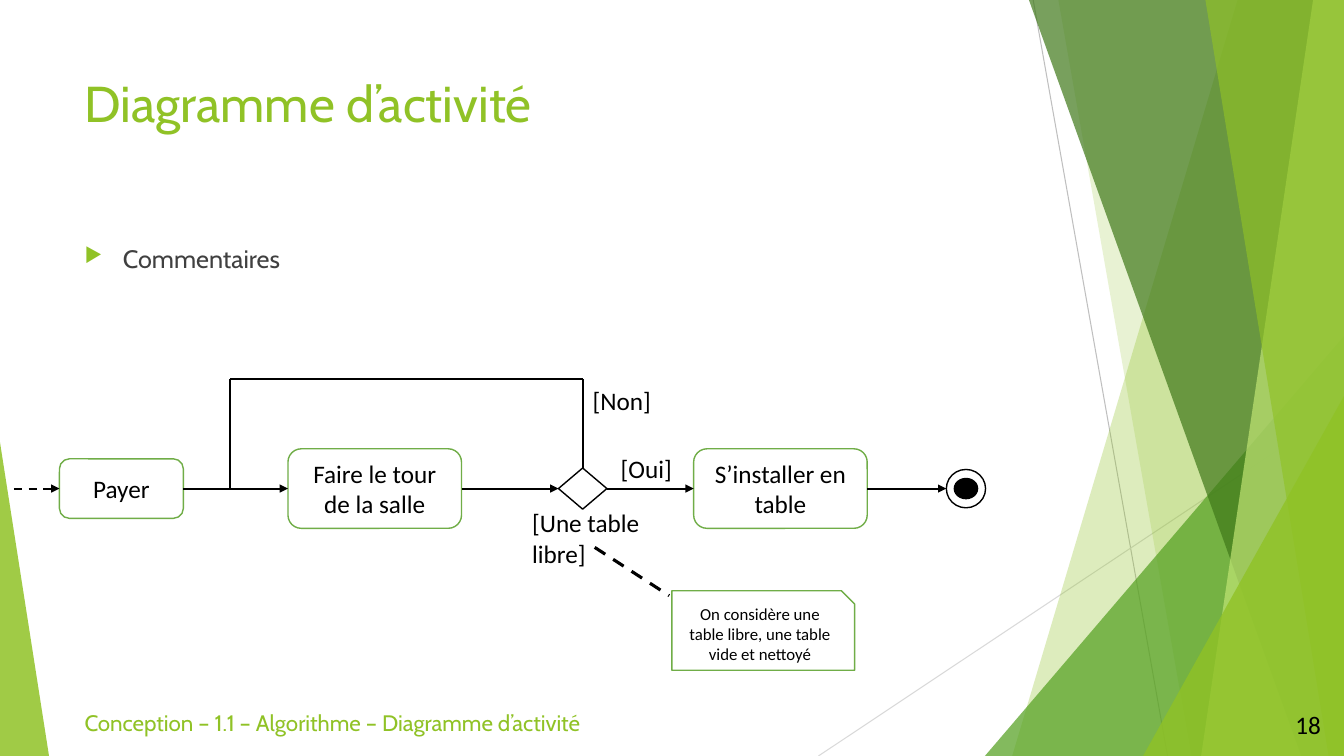
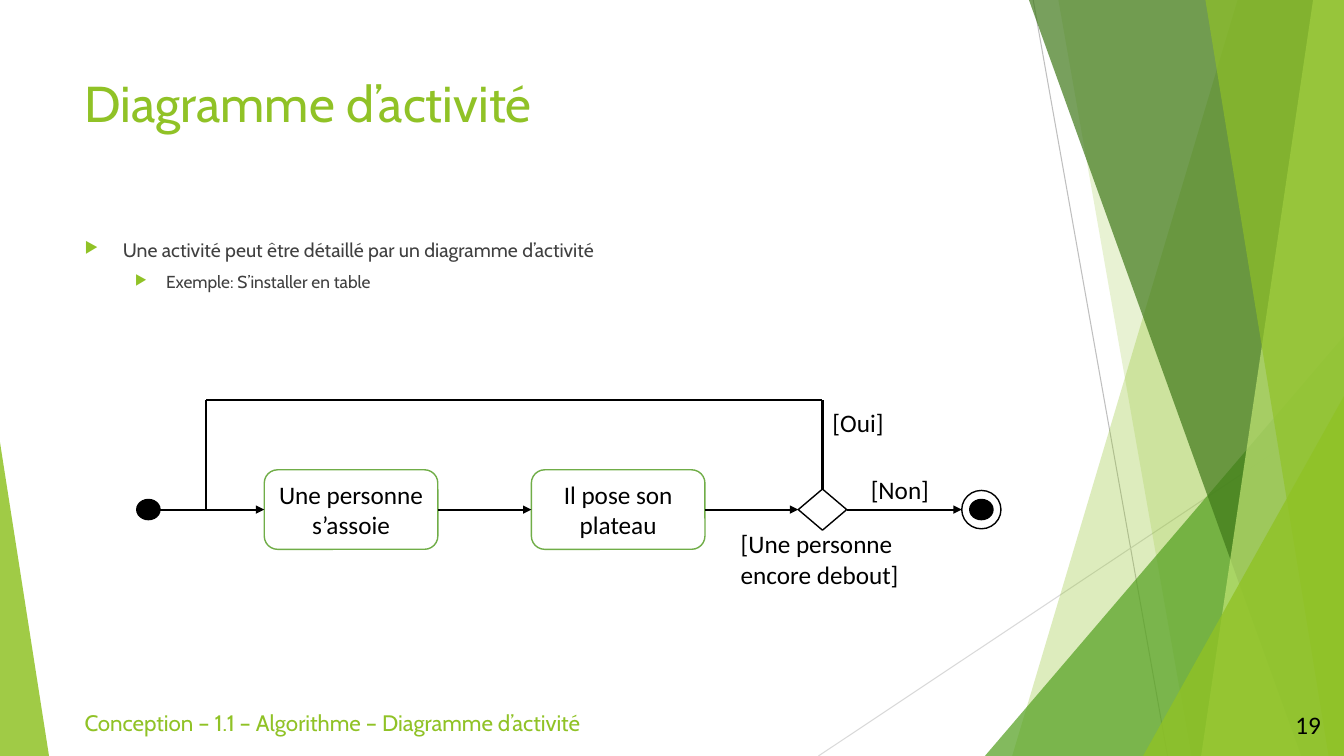
from itertools import pairwise

from lxml import etree
from pptx import Presentation
from pptx.dml.color import RGBColor
from pptx.enum import dml, shapes, text
from pptx.oxml.ns import qn
from pptx.util import Pt

LIME = RGBColor(0x90, 0xC2, 0x26)
LEAF = RGBColor(0x54, 0xA0, 0x21)
FOREST = RGBColor(0x3F, 0x78, 0x19)
PALE_LIME = RGBColor(0xC0, 0xE4, 0x74)
OUTLINE = RGBColor(0x70, 0xAD, 0x47)
GRAY = RGBColor(0xBF, 0xBF, 0xBF)
LIGHT_GRAY = RGBColor(0xD9, 0xD9, 0xD9)
BODY = RGBColor(0x40, 0x40, 0x40)
BLACK = RGBColor(0, 0, 0)
WHITE = RGBColor(255, 255, 255)

WIDTH, HEIGHT = 960, 540
MARGIN = 53.3
TITLE = "Diagramme d’activité"
FOOTER = "Conception – 1.1 – Algorithme – Diagramme d’activité"

RAYS = [((738, 0), (834, HEIGHT), GRAY), ((WIDTH, 290), (584.6, HEIGHT), LIGHT_GRAY)]
FACETS = [
    (LIME, 30, [(884, 0), (WIDTH, 0), (WIDTH, HEIGHT), (723, HEIGHT)]),
    (LIME, 20, [(756, 0), (WIDTH, 0), (WIDTH, HEIGHT), (851, HEIGHT)]),
    (LEAF, 72, [(703.5, HEIGHT), (WIDTH, 240), (WIDTH, HEIGHT)]),
    (FOREST, 70, [(735, 0), (WIDTH, 0), (WIDTH, HEIGHT), (929.5, HEIGHT)]),
    (PALE_LIME, 70, [(938, 0), (WIDTH, 0), (WIDTH, HEIGHT), (858, HEIGHT)]),
    (LIME, 65, [(861, 0), (WIDTH, 0), (WIDTH, HEIGHT), (949, HEIGHT)]),
    (LIME, 80, [(816.5, HEIGHT), (WIDTH, 283), (WIDTH, HEIGHT)]),
    (LIME, 85, [(0, HEIGHT), (0, 316), (35, HEIGHT)]),
]

ROUNDED = shapes.MSO_SHAPE.ROUNDED_RECTANGLE
OVAL = shapes.MSO_SHAPE.OVAL
NODE_STYLES = {
    "step": (ROUNDED, 88.5, 42.5, WHITE, OUTLINE),
    "activity": (ROUNDED, 124, 56.8, WHITE, OUTLINE),
    "decision": (shapes.MSO_SHAPE.DIAMOND, 34.6, 29.4, WHITE, BLACK),
    "dot": (OVAL, 16.6, 14.4, BLACK, BLACK),
    "end": (OVAL, 28, 27.4, WHITE, BLACK),
}
LOOP_RISE = 78

SLIDES = [
    {
        "number": "18",
        "bullets": [("Commentaires", 18, 27.4, 27.4, 1.0)],
        "axis": 349,
        "nodes": [
            ("step", 42.5, "Payer"),
            ("activity", 205.7, "Faire le tour de la salle"),
            ("decision", 398.9, ""),
            ("activity", 495.5, "S’installer en table"),
            ("end", 676, ""),
        ],
        "loop_left": 164,
        "labels": [("[Non]", 416.2, -77, 62), ("[Oui]", 436.3, -28.6, 63.4),
                   ("[Une table libre]", 373, 10, 93)],
        "entry": 10,
        "note": ("On considère une table libre, une table vide et nettoyé",
                 (480, 422, 130.5, 56.8), ((424.8, 391), (478, 425.5))),
    },
    {
        "number": "19",
        "bullets": [
            ("Une activité peut être détaillé par un diagramme d’activité", 13.9, 27.4, 27.4, 0.8),
            ("Exemple: S’installer en table", 12.4, 58.3, 22.3, 0.8),
        ],
        "axis": 364,
        "nodes": [
            ("dot", 97.7, ""),
            ("activity", 188.8, "Une personne s’assoie"),
            ("activity", 379.6, "Il pose son plateau"),
            ("decision", 570.2, ""),
            ("end", 687, ""),
        ],
        "loop_left": 147.4,
        "labels": [("[Oui]", 587.5, -76.5, 62), ("[Non]", 614.9, -28.5, 63.4),
                   ("[Une personne encore debout]", 522, 10, 130.3)],
    },
]


def style_font(para, size, color, name="Calibri"):
    para.font.size, para.font.name = Pt(size), name
    para.font.color.rgb = color


def add_text(page, words, left, top, width, height, size, color=BLACK, name="Calibri"):
    box = page.shapes.add_textbox(Pt(left), Pt(top), Pt(width), Pt(height))
    box.text_frame.word_wrap = True
    box.text_frame.text = words
    style_font(box.text_frame.paragraphs[0], size, color, name)
    return box.text_frame


def add_line(page, start, end, color=BLACK, width=1.5, arrow=False, dashed=False):
    line = page.shapes.add_connector(
        shapes.MSO_CONNECTOR.STRAIGHT, *(Pt(value) for value in (*start, *end)))
    line.line.color.rgb = color
    line.line.width = Pt(width)
    if dashed:
        line.line.dash_style = dml.MSO_LINE.DASH
    if arrow:
        etree.SubElement(line.line._get_or_add_ln(), qn("a:tailEnd"), type="triangle")
    etree.SubElement(line.element.spPr, qn("a:effectLst"))
    return line


def add_facet(page, color, opacity, points):
    corners = [(Pt(x), Pt(y)) for x, y in points]
    builder = page.shapes.build_freeform(*corners[0])
    builder.add_line_segments(corners[1:], close=True)
    facet = builder.convert_to_shape()
    facet.shadow.inherit = False
    facet.line.fill.background()
    facet.fill.solid()
    facet.fill.fore_color.rgb = color
    tint = facet.element.spPr.find(qn("a:solidFill"))[0]
    etree.SubElement(tint, qn("a:alpha"), val=str(opacity * 1000))


def add_box(page, preset, left, top, width, height, fill, outline, words="", size=18):
    box = page.shapes.add_shape(preset, Pt(left), Pt(top), Pt(width), Pt(height))
    box.shadow.inherit = False
    box.fill.solid()
    box.fill.fore_color.rgb = fill
    box.line.color.rgb = outline
    box.line.width = Pt(1)
    if words:
        frame = box.text_frame
        frame.word_wrap = True
        frame.vertical_anchor = text.MSO_ANCHOR.MIDDLE
        frame.text = words
        frame.paragraphs[0].alignment = text.PP_ALIGN.CENTER
        style_font(frame.paragraphs[0], size, BLACK)
    return box


def add_node(page, axis, kind, left, words=""):
    preset, width, height, fill, outline = NODE_STYLES[kind]
    node = add_box(page, preset, left, axis - height / 2, width, height, fill, outline, words)
    if kind == "end":
        add_node(page, axis, "dot", left + (width - NODE_STYLES["dot"][1]) / 2)
    return node


def add_bullets(page, bullets):
    box = page.shapes.add_textbox(Pt(MARGIN), Pt(170), Pt(677), Pt(41))
    frame = box.text_frame
    frame.word_wrap = True
    for index, (words, size, margin, hanging, spacing) in enumerate(bullets):
        para = frame.add_paragraph() if index else frame.paragraphs[0]
        para.text = words
        props = para._p.get_or_add_pPr()
        props.set("marL", str(Pt(margin)))
        props.set("indent", str(-Pt(hanging)))
        tint = etree.SubElement(props, qn("a:buClr"))
        etree.SubElement(tint, qn("a:srgbClr"), val=str(LIME))
        etree.SubElement(props, qn("a:buSzPct"), val="80000")
        etree.SubElement(props, qn("a:buChar"), char="▶")
        para.space_before = Pt(10)
        para.line_spacing = spacing
        style_font(para, size, BODY, "Cabin")


def add_frame(page, number):
    for start, end, color in RAYS:
        add_line(page, start, end, color, 0.75)
    for facet in FACETS:
        add_facet(page, *facet)
    add_text(page, TITLE, MARGIN, 48, 677, 104, 36, LIME, "Cabin")
    add_text(page, FOOTER, MARGIN, 503, 472, 29, 16, LIME, "Cabin")
    frame = add_text(page, number, 896.5, 503, 54, 29, 18)
    frame.vertical_anchor = text.MSO_ANCHOR.MIDDLE
    frame.paragraphs[0].alignment = text.PP_ALIGN.RIGHT


def add_flow(page, content):
    axis = content["axis"]
    nodes = [(kind, left, left + NODE_STYLES[kind][1], add_node(page, axis, kind, left, words))
             for kind, left, words in content["nodes"]]
    for source, target in pairwise(nodes):
        arrow = add_line(page, (source[2], axis), (target[1], axis), arrow=True)
        if NODE_STYLES[source[0]][0] != OVAL:
            arrow.begin_connect(source[3], 3)
        if NODE_STYLES[target[0]][0] != OVAL:
            arrow.end_connect(target[3], 1)
    if "entry" in content:
        entry = add_line(page, (content["entry"], axis), (nodes[0][1], axis),
                         arrow=True, dashed=True)
        entry.end_connect(nodes[0][3], 1)

    _, left, right, decision = next(node for node in nodes if node[0] == "decision")
    center, top, loop_left = (left + right) / 2, axis - LOOP_RISE, content["loop_left"]
    riser = add_line(page, (center, axis), (center, top))
    riser.begin_connect(decision, 0)
    add_line(page, (center, top), (loop_left, top))
    add_line(page, (loop_left, top), (loop_left, axis))
    for words, label_left, offset, width in content["labels"]:
        add_text(page, words, label_left, axis + offset, width, 29, 18)


def main():
    deck = Presentation()
    deck.slide_width, deck.slide_height = Pt(WIDTH), Pt(HEIGHT)
    for content in SLIDES:
        page = deck.slides.add_slide(deck.slide_layouts[6])
        add_frame(page, content["number"])
        add_bullets(page, content["bullets"])
        add_flow(page, content)
        if "note" in content:
            words, place, (start, end) = content["note"]
            add_box(page, shapes.MSO_SHAPE.SNIP_1_RECTANGLE, *place, WHITE, OUTLINE, words, 12)
            add_line(page, start, end, width=2.25, dashed=True)
    deck.save("out.pptx")


if __name__ == "__main__":
    main()
